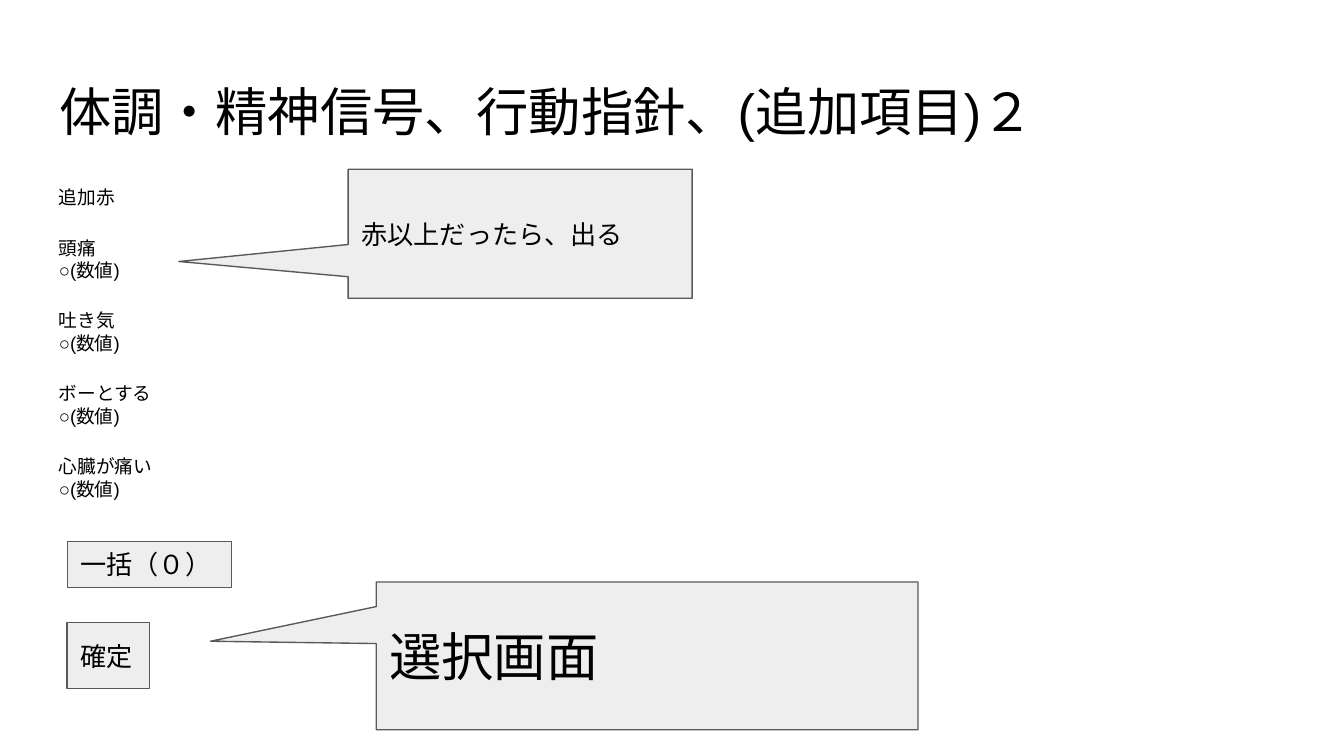
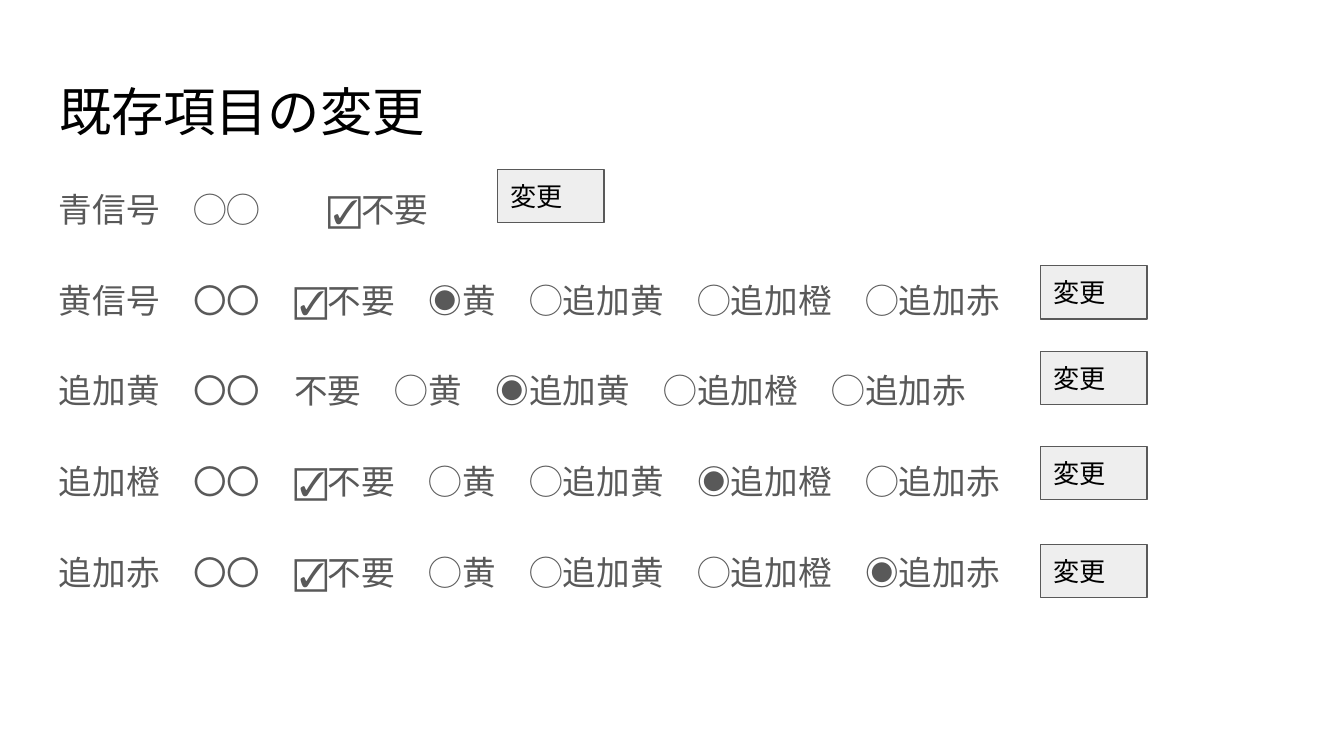
from lxml import etree
from pptx import Presentation
from pptx.dml.color import RGBColor
from pptx.enum.lang import MSO_LANGUAGE_ID
from pptx.enum.shapes import MSO_SHAPE
from pptx.enum.text import MSO_ANCHOR, MSO_AUTO_SIZE, PP_ALIGN
from pptx.oxml.ns import qn
from pptx.util import Pt

RECT = MSO_SHAPE.RECTANGLE
CALLOUT = MSO_SHAPE.RECTANGULAR_CALLOUT
TOP, MIDDLE = MSO_ANCHOR.TOP, MSO_ANCHOR.MIDDLE
LEFT = PP_ALIGN.LEFT
NO_FIT = MSO_AUTO_SIZE.NONE
JAPANESE = MSO_LANGUAGE_ID.JAPANESE

FONT = "Arial"
BLACK, GRAY, PALE = "000000", "595959", "EEEEEE"
TITLE_BOX = (24.5, 35.3, 671, 45.4)
BODY_BOX = (24.5, 90.7, 671, 269.3)
INSET = 7.2
LINE_SPACING = 1.15
BLANK_LINE = 1.32


def rgb(value):
    return RGBColor.from_string(value)


def prepare_frame(tf, anchor):
    tf.word_wrap = True
    tf.auto_size = NO_FIT
    tf.vertical_anchor = anchor
    tf.margin_left = tf.margin_right = Pt(INSET)
    tf.margin_top = tf.margin_bottom = Pt(INSET)


def format_text(p, size, color):
    p.alignment = LEFT
    for r in p.runs:
        r.font.name = FONT
        r.font.size = Pt(size)
        r.font.color.rgb = rgb(color)
        r.font.language_id = JAPANESE
        ea = etree.SubElement(r.font._element, qn("a:ea"))
        ea.set("typeface", FONT)


def add_titled_slide(prs, title):
    s = prs.slides.add_slide(prs.slide_layouts[5])
    sp = s.shapes.title
    sp.left, sp.top, sp.width, sp.height = map(Pt, TITLE_BOX)
    tf = sp.text_frame
    tf.text = title
    prepare_frame(tf, TOP)
    format_text(tf.paragraphs[0], 28, BLACK)
    return s


def add_body(s, box, groups, size, color):
    tf = s.shapes.add_textbox(*map(Pt, box)).text_frame
    prepare_frame(tf, TOP)
    tf.text = "\n".join(line for group in groups for line in group)
    paragraphs = iter(tf.paragraphs)
    for g, group in enumerate(groups):
        for i in range(len(group)):
            p = next(paragraphs)
            p.line_spacing = 1.0 if i else LINE_SPACING
            p.space_before = Pt(size * BLANK_LINE if g and not i else 0)
            p.space_after = Pt(0)
            format_text(p, size, color)
    return tf


def add_tab_stop(p, pos):
    tabs = etree.SubElement(p._p.get_or_add_pPr(), qn("a:tabLst"))
    tab = etree.SubElement(tabs, qn("a:tab"))
    tab.set("pos", str(Pt(pos)))
    tab.set("algn", "l")


def add_box(s, box, text, size=14, kind=RECT, tip=()):
    sp = s.shapes.add_shape(kind, *map(Pt, box))
    for i, value in enumerate(tip):
        sp.adjustments[i] = value
    sp.shadow.inherit = False
    sp.fill.solid()
    sp.fill.fore_color.rgb = rgb(PALE)
    sp.line.color.rgb = rgb(GRAY)
    sp.line.width = Pt(0.75)
    tf = sp.text_frame
    tf.text = text
    prepare_frame(tf, MIDDLE)
    format_text(tf.paragraphs[0], size, BLACK)


def build_symptom_slide(prs):
    s = add_titled_slide(prs, "体調・精神信号、行動指針、(追加項目)２")
    symptoms = ["頭痛", "吐き気", "ボーとする", "心臓が痛い"]
    groups = [["追加赤"]] + [[name, "○(数値)"] for name in symptoms]
    add_body(s, BODY_BOX, groups, 10, BLACK)
    add_box(s, (186.5, 90.7, 184.3, 69.1), "赤以上だったら、出る",
            kind=CALLOUT, tip=(-0.992, 0.215))
    add_box(s, (201.6, 311.8, 290.2, 79.2), "選択画面", size=28,
            kind=CALLOUT, tip=(-0.806, -0.099))
    add_box(s, (36, 333.6, 44, 35.3), "確定")
    add_box(s, (36, 290.2, 87.9, 24.5), "一括（０）")


def signal_row(name, chosen):
    options = ["黄", "追加黄", "追加橙", "追加赤"]
    marks = [("◉" if o == chosen else "◯") + o for o in options]
    return "\u3000".join([name, "〇〇", "☑\ufe0f不要"] + marks)


def build_change_slide(prs):
    s = add_titled_slide(prs, "既存項目の変更")
    signals = [("黄信号", "黄"), ("追加黄", "追加黄"),
               ("追加橙", "追加橙"), ("追加赤", "追加赤")]
    groups = [["青信号\u3000◯◯\t☑\ufe0f不要"]]
    groups += [[signal_row(*signal)] for signal in signals]
    tf = add_body(s, BODY_BOX, groups, 18, GRAY)
    add_tab_stop(tf.paragraphs[0], 8 * 18)
    buttons = [(266.4, 90.7)]
    buttons += [(557.3, y) for y in (142.3, 188.2, 239.2, 291.6)]
    for x, y in buttons:
        add_box(s, (x, y, 57.2, 28.6), "変更")


prs = Presentation()
prs.slide_width, prs.slide_height = Pt(720), Pt(405)
build_symptom_slide(prs)
build_change_slide(prs)
prs.save("out.pptx")
